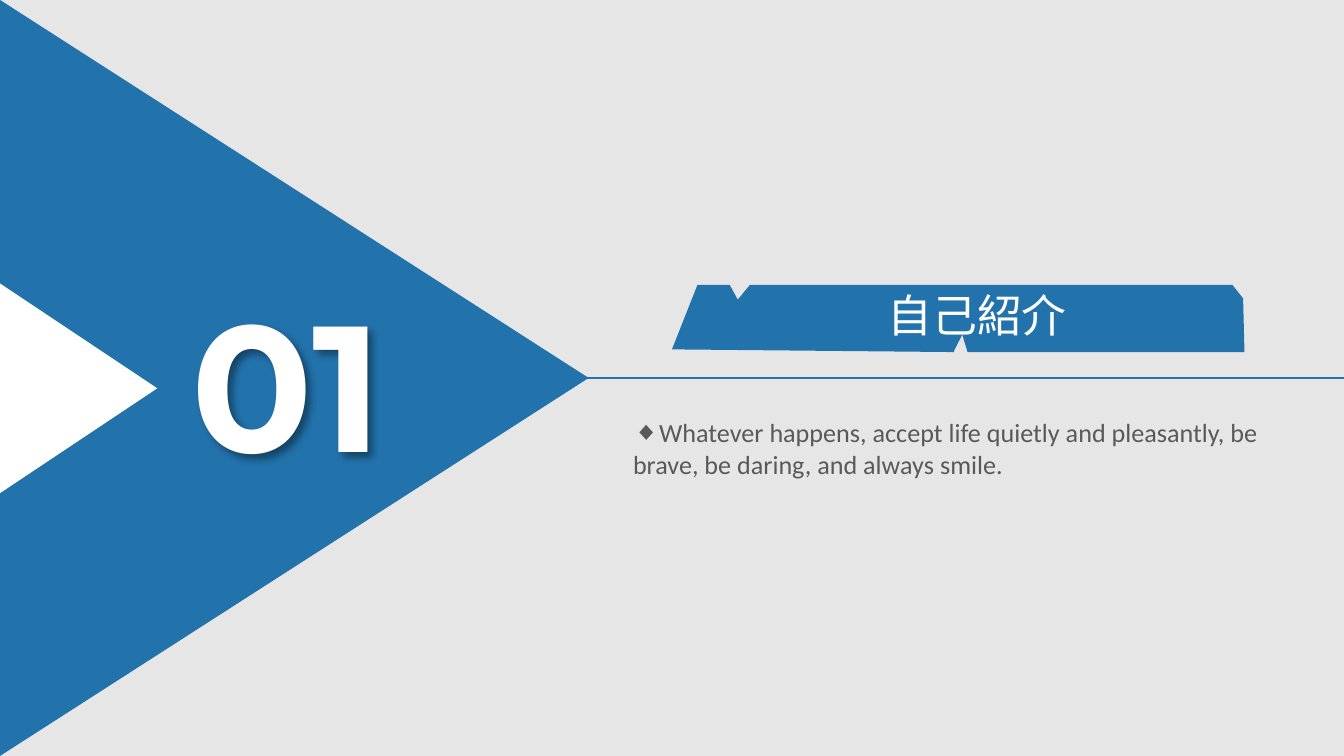
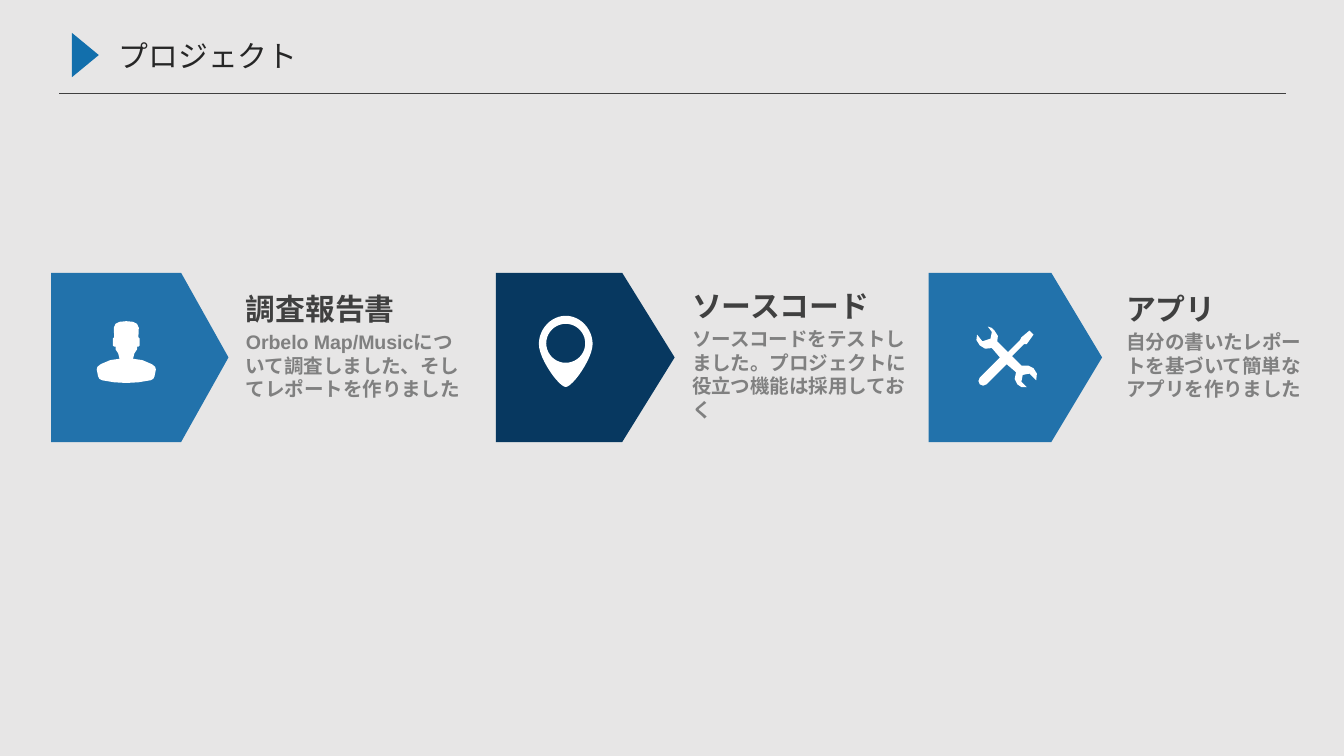
from dataclasses import dataclass
from math import cos, pi, sin

from lxml.etree import SubElement
from pptx import Presentation
from pptx.dml.color import RGBColor
from pptx.enum.shapes import MSO_CONNECTOR as Connector, MSO_SHAPE as Preset
from pptx.enum.text import MSO_ANCHOR as Anchor, MSO_AUTO_SIZE as AutoSize, PP_ALIGN as Align
from pptx.oxml.ns import qn
from pptx.shapes.autoshape import Shape
from pptx.slide import Slide
from pptx.text.text import TextFrame
from pptx.util import Emu, Inches, Pt

SLIDE_WIDTH = Inches(10)
SLIDE_HEIGHT = Emu(SLIDE_WIDTH * 9 // 16)
COLUMNS, ROWS = 100, 56.25

BLUE = RGBColor(0x22, 0x72, 0xAB)
NAVY = RGBColor(0x07, 0x38, 0x60)
MARKER_BLUE = RGBColor(0x12, 0x6F, 0xAC)
PALE_GRAY = RGBColor(0xE7, 0xE6, 0xE6)
WHITE = RGBColor(0xFF, 0xFF, 0xFF)
INK = RGBColor(0x26, 0x26, 0x26)
DARK_GRAY = RGBColor(0x40, 0x40, 0x40)
QUOTE_GRAY = RGBColor(0x59, 0x59, 0x59)
MID_GRAY = RGBColor(0x80, 0x80, 0x80)
CJK_FONT = "Noto Sans CJK SC"

Point = tuple[float, float]
Outline = list[Point]


@dataclass(frozen=True)
class Box:
    column: float
    row: float
    columns: float
    rows: float

    def frame(self) -> tuple[Emu, Emu, Emu, Emu]:
        return across(self.column), down(self.row), across(self.columns), down(self.rows)


@dataclass(frozen=True)
class TextStyle:
    size: float
    color: RGBColor
    font: str = CJK_FONT
    bold: bool = False
    align: Align = Align.LEFT
    space_before: float = 0


@dataclass(frozen=True)
class ProjectCard:
    plate: Box
    point_share: float
    color: RGBColor
    text: Box
    heading: str
    description: str
    icon: list[Outline]


NUMBER = TextStyle(96, WHITE, "Montserrat", bold=True)
SECTION_TITLE = TextStyle(24, WHITE, align=Align.CENTER)
QUOTE = TextStyle(14, QUOTE_GRAY, "Calibri")
PAGE_TITLE = TextStyle(16, INK)
CARD_HEADING = TextStyle(16, DARK_GRAY, "Arial", bold=True, space_before=3.2)
CARD_BODY = TextStyle(10.5, MID_GRAY, "Arial", bold=True, space_before=2.1)


def across(columns: float) -> Emu:
    return Emu(round(SLIDE_WIDTH * columns / COLUMNS))


def down(rows: float) -> Emu:
    return Emu(round(SLIDE_HEIGHT * rows / ROWS))


def paint(shape: Shape, color: RGBColor) -> Shape:
    shape.shadow.inherit = False
    shape.fill.solid()
    shape.fill.fore_color.rgb = color
    shape.line.fill.background()
    return shape


def add_pointer(slide: Slide, box: Box, color: RGBColor) -> None:
    turned = Box(
        box.column + (box.columns - box.rows) / 2,
        box.row + (box.rows - box.columns) / 2,
        box.rows,
        box.columns,
    )
    shape = slide.shapes.add_shape(Preset.ISOSCELES_TRIANGLE, *turned.frame())
    shape.rotation = 90
    paint(shape, color)


def add_rule(slide: Slide, start: float, end: float, row: float, color: RGBColor, width: float) -> None:
    rule = slide.shapes.add_connector(
        Connector.STRAIGHT, across(start), down(row), across(end), down(row)
    )
    rule.line.color.rgb = color
    rule.line.width = Pt(width)
    SubElement(rule.element.spPr, qn("a:effectLst"))


def add_outlines(slide: Slide, outlines: list[Outline], color: RGBColor) -> None:
    contours = [[(across(x), down(y)) for x, y in outline] for outline in outlines]
    builder = slide.shapes.build_freeform(*contours[0][0])
    for index, contour in enumerate(contours):
        if index:
            builder.move_to(*contour[0])
        builder.add_line_segments(contour[1:], close=True)
    paint(builder.convert_to_shape(), color)


def write(frame: TextFrame, lines: list[tuple[str, TextStyle]], inset: Point = (0.1, 0.05)) -> None:
    frame.word_wrap = True
    frame.auto_size = AutoSize.NONE
    frame.margin_left = frame.margin_right = Inches(inset[0])
    frame.margin_top = frame.margin_bottom = Inches(inset[1])
    for index, (text, style) in enumerate(lines):
        paragraph = frame.add_paragraph() if index else frame.paragraphs[0]
        paragraph.text = text
        paragraph.alignment = style.align
        paragraph.space_before = Pt(style.space_before)
        font = paragraph.font
        font.size = Pt(style.size)
        font.bold = style.bold
        font.name = style.font
        font.color.rgb = style.color
        SubElement(font._element, qn("a:ea"), typeface=CJK_FONT)


def add_text(slide: Slide, box: Box, lines: list[tuple[str, TextStyle]], inset: Point = (0.1, 0.05)) -> Shape:
    shape = slide.shapes.add_textbox(*box.frame())
    write(shape.text_frame, lines, inset)
    return shape


def fill_placeholder(
    shape: Shape, box: Box, text: str, style: TextStyle, anchor: Anchor, inset: Point = (0.1, 0.05)
) -> None:
    shape.left, shape.top, shape.width, shape.height = box.frame()
    write(shape.text_frame, [(text, style)], inset)
    shape.text_frame.vertical_anchor = anchor
    shape.element.getparent().append(shape.element)


def set_bullet(shape: Shape, character: str) -> None:
    properties = shape.text_frame.paragraphs[0]._p.get_or_add_pPr()
    properties.set("marL", "0")
    properties.set("indent", "0")
    bullet = SubElement(properties, qn("a:buChar"), char=character)
    properties.find(qn("a:defRPr")).addprevious(bullet)


def add_glyph_shadow(shape: Shape) -> None:
    effects = SubElement(shape.element.spPr, qn("a:effectLst"))
    shadow = SubElement(
        effects, qn("a:outerShdw"), blurRad="50800", dist="38100", dir="2700000", algn="tl", rotWithShape="0"
    )
    color = SubElement(shadow, qn("a:prstClr"), val="black")
    SubElement(color, qn("a:alpha"), val="40000")


def mirrored(half: Outline, axis: float) -> Outline:
    return half + [(2 * axis - x, y) for x, y in reversed(half)]


def curve(start: Point, first: Point, second: Point, end: Point, steps: int = 12) -> Outline:
    points = []
    for step in range(steps + 1):
        t = step / steps
        weights = ((1 - t) ** 3, 3 * t * (1 - t) ** 2, 3 * t**2 * (1 - t), t**3)
        controls = (start, first, second, end)
        points.append(tuple(sum(w * c[axis] for w, c in zip(weights, controls)) for axis in (0, 1)))
    return points


def circle(center: Point, radius: float, steps: int = 40) -> Outline:
    angles = [2 * pi * step / steps for step in range(steps)]
    return [(center[0] + radius * cos(a), center[1] - radius * sin(a)) for a in angles]


BANNER = [
    (51.9, 21.2), (54.3, 21.2), (54.9, 22.3), (55.8, 21.2), (91.7, 21.2), (92.5, 22.2), (92.6, 26.2),
    (72, 26.2), (71.6, 24.9), (71, 26.1), (71, 26.2), (50, 26),
]
PERSON = mirrored(
    [
        (9.4, 23.9), (9.9, 23.95), (10.2, 24.1), (10.33, 24.4), (10.3, 25.1), (10.4, 25.2), (10.4, 25.7),
        (10.3, 25.8), (10.2, 25.8), (10.2, 26), (10, 26.3), (9.9, 26.7), (10.6, 26.8), (11.3, 27.1),
        (11.55, 27.3), (11.6, 27.5), (11.5, 28), (11.4, 28.2), (11.2, 28.3), (10.3, 28.45), (9.4, 28.5),
    ],
    9.4,
)
PIN = mirrored(
    curve((42.1, 23.5), (43.2, 23.5), (44.1, 24.5), (44.1, 25.6))
    + curve((44.1, 25.6), (44.1, 26.7), (42.6, 28.8), (42.1, 28.8)),
    42.1,
)
PIN_HOLE = circle((42.1, 25.55), 1.45)
TOOLS = [
    (76.9, 27.4), (76.5, 27.2), (76, 27.2), (75.3, 26.5), (76.2, 25.6), (76.4, 25.6), (76.9, 24.9),
    (76.6, 24.6), (76, 25.1), (75.9, 25.3), (75, 26.2), (74.2, 25.4), (74.25, 25), (74, 24.6),
    (73.8, 24.4), (73.5, 24.3), (73.8, 24.7), (73.7, 25.2), (73.1, 25.4), (72.7, 24.9), (72.65, 25.3),
    (72.9, 25.7), (73.3, 25.95), (73.8, 25.9), (74.4, 26.6), (72.9, 28.1), (72.8, 28.35), (72.9, 28.6),
    (73.15, 28.7), (73.4, 28.6), (74.9, 27.1), (75.6, 27.7), (75.5, 28.2), (75.7, 28.6), (76, 28.8),
    (76.4, 28.8), (76, 28.4), (76.1, 27.9), (76.6, 27.8), (77.1, 28.3), (77.15, 27.8),
]
CARDS = [
    ProjectCard(
        Box(3.8, 20.3, 13.2, 12.6), 0.28, BLUE, Box(18.3, 21.6, 16.3, 10.4),
        "調査報告書", "Orbelo Map/Musicについて調査しました、そしてレポートを作りました", [PERSON],
    ),
    ProjectCard(
        Box(36.9, 20.3, 13.3, 12.6), 0.31, NAVY, Box(51.5, 21.4, 16.3, 8.3),
        "ソースコード", "ソースコードをテストしました。プロジェクトに役立つ機能は採用しておく", [PIN, PIN_HOLE],
    ),
    ProjectCard(
        Box(69.1, 20.3, 12.9, 12.6), 0.3, BLUE, Box(83.8, 21.6, 13.4, 8.3),
        "アプリ", "自分の書いたレポートを基づいて簡単なアプリを作りました", [TOOLS],
    ),
]


def add_card(slide: Slide, card: ProjectCard) -> None:
    plate = slide.shapes.add_shape(Preset.PENTAGON, *card.plate.frame())
    plate.adjustments[0] = card.point_share
    paint(plate, card.color)
    add_text(slide, card.text, [(card.heading, CARD_HEADING), (card.description, CARD_BODY)], (0, 0))
    add_outlines(slide, card.icon, WHITE)


def build_section(slide: Slide) -> None:
    add_pointer(slide, Box(0, 0, 43.8, ROWS), BLUE)
    add_pointer(slide, Box(0, 21.1, 11.7, 15.6), WHITE)
    number = add_text(slide, Box(13.3, 19.85, 20.3, 17.2), [("01", NUMBER)])
    add_glyph_shadow(number)
    add_rule(slide, 35.9, COLUMNS, ROWS / 2, BLUE, 1.5)
    add_outlines(slide, [BANNER], BLUE)
    fill_placeholder(slide.shapes.title, Box(51.2, 20.9, 43, 5), "自己紹介", SECTION_TITLE, Anchor.MIDDLE)
    quote = slide.placeholders[1]
    fill_placeholder(
        quote,
        Box(46.1, 30.5, 53.1, 5.7),
        "Whatever happens, accept life quietly and pleasantly, be brave, be daring, and always smile.",
        QUOTE,
        Anchor.TOP,
    )
    set_bullet(quote, "◆")


def build_projects(slide: Slide) -> None:
    add_rule(slide, 4.4, 95.7, 6.95, DARK_GRAY, 0.5)
    add_pointer(slide, Box(5.35, 2.45, 2, 3.3), MARKER_BLUE)
    fill_placeholder(
        slide.shapes.title, Box(8.15, 2.4, 21.7, 3.4), "プロジェクト", PAGE_TITLE, Anchor.MIDDLE, (0.07, 0.04)
    )
    for card in CARDS:
        add_card(slide, card)


def main() -> None:
    presentation = Presentation()
    presentation.slide_width, presentation.slide_height = SLIDE_WIDTH, SLIDE_HEIGHT
    background = presentation.slide_master.background.fill
    background.solid()
    background.fore_color.rgb = PALE_GRAY
    layouts = presentation.slide_layouts
    build_section(presentation.slides.add_slide(layouts.get_by_name("Title and Content")))
    build_projects(presentation.slides.add_slide(layouts.get_by_name("Title Only")))
    presentation.save("out.pptx")


if __name__ == "__main__":
    main()
